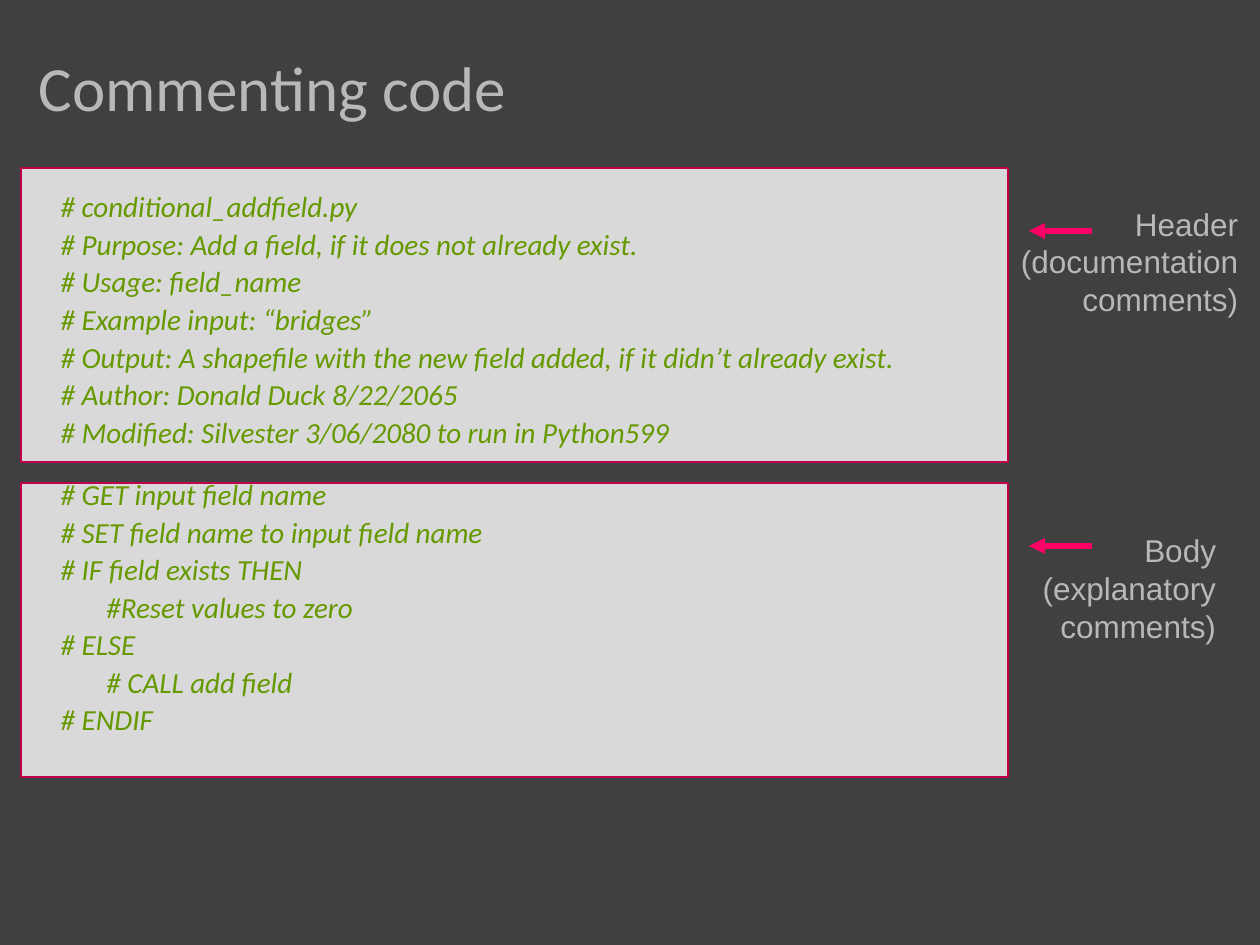
"""Build a slide that shows header and body comments in code."""
from dataclasses import dataclass

from lxml import etree
from pptx import Presentation
from pptx.dml.color import RGBColor
from pptx.enum.shapes import MSO_CONNECTOR, MSO_SHAPE
from pptx.enum.text import MSO_ANCHOR, MSO_AUTO_SIZE, PP_ALIGN
from pptx.oxml.ns import qn
from pptx.util import Inches, Pt

RECT = MSO_SHAPE.RECTANGLE
LINE = MSO_CONNECTOR.STRAIGHT
LEFT, RIGHT = PP_ALIGN.LEFT, PP_ALIGN.RIGHT
TOP, MIDDLE = MSO_ANCHOR.TOP, MSO_ANCHOR.MIDDLE
FIXED, GROW = MSO_AUTO_SIZE.NONE, MSO_AUTO_SIZE.SHAPE_TO_FIT_TEXT
WIDE, HIGH = Inches(10), Inches(7.5)
COLS, ROWS = 60, 45


@dataclass(frozen=True)
class Theme:
    """Colours, fonts and type sizes."""
    back: str = "404040"
    panel: str = "D9D9D9"
    edge: str = "BF004C"
    arrow: str = "FF0066"
    pale: str = "B8B8B8"
    code: str = "669900"
    sans: str = "Calibri"
    plain: str = "Arial"
    head: float = 36
    note: float = 18
    small: float = 16.6


@dataclass(frozen=True)
class Box:
    """A place on the grid, in columns and rows."""
    col: float
    row: float
    wide: float
    high: float


@dataclass(frozen=True)
class Part:
    """A panel with its arrow row, its note and its code."""
    row: float
    mark: float
    place: Box
    note: tuple[str, ...]
    code: tuple[str, ...]


THEME = Theme()
TITLE = Box(1.25, 0, 29.25, 8.7)
CODE = Box(2.3, 9.15, 51.7, 28.55)
GAP, BREAK = Pt(7.5), Pt(21.7)
PARTS = (
    Part(8, 11, Box(47.9, 9.45, 11.65, 6),
         ("Header", "(documentation", "comments)"),
         ("# conditional_addfield.py",
          "# Purpose: Add a field, if it does not already exist.",
          "# Usage: field_name",
          "# Example input: “bridges”",
          "# Output: A shapefile with the new field added, if it didn’t already exist.",
          "# Author: Donald Duck 8/22/2065",
          "# Modified: Silvester 3/06/2080 to run in Python599")),
    Part(23, 26, Box(49, 25, 9.5, 6),
         ("Body", "(explanatory", "comments)"),
         ("# GET input field name",
          "# SET field name to input field name",
          "# IF field exists THEN",
          "       #Reset values to zero",
          "# ELSE",
          "       # CALL add field",
          "# ENDIF")),
)


def across(col: float) -> int:
    """Turn columns into a length."""
    return round(WIDE * col / COLS)


def down(row: float) -> int:
    """Turn rows into a length."""
    return round(HIGH * row / ROWS)


def span(box: Box) -> tuple[int, int, int, int]:
    """Give left, top, width and height of a box."""
    return across(box.col), down(box.row), across(box.wide), down(box.high)


def apply(item, values: dict) -> None:
    """Set each attribute of an item."""
    for name, value in values.items():
        setattr(item, name, value)


def write(frame, lines, tint: str, face: dict, para: dict, body: dict) -> None:
    """Fill a text frame with one paragraph per line."""
    apply(frame, body)
    for num, text in enumerate(lines):
        item = frame.add_paragraph() if num else frame.paragraphs[0]
        item.text = text
        apply(item, para)
        apply(item.font, face)
        item.font.color.rgb = RGBColor.from_string(tint)


def panel(slide, row: float) -> None:
    """Draw a framed panel."""
    shape = slide.shapes.add_shape(RECT, *span(Box(1, row, 47, 14)))
    shape.shadow.inherit = False
    shape.fill.solid()
    shape.fill.fore_color.rgb = RGBColor.from_string(THEME.panel)
    shape.line.color.rgb = RGBColor.from_string(THEME.edge)
    shape.line.width = Pt(0.75)


def arrow(slide, row: float) -> None:
    """Draw an arrow that points left to a panel."""
    line = slide.shapes.add_connector(
        LINE, across(52), down(row), across(49), down(row))
    line.line.color.rgb = RGBColor.from_string(THEME.arrow)
    line.line.width = Pt(3)
    etree.SubElement(line.line._get_or_add_ln(), qn("a:tailEnd"), type="triangle")
    etree.SubElement(line._element.spPr, qn("a:effectLst"))


def title(slide) -> None:
    """Move and format the title."""
    shape = slide.shapes.title
    apply(shape, dict(zip(("left", "top", "width", "height"), span(TITLE))))
    write(shape.text_frame, ("Commenting code",), THEME.pale,
          {"name": THEME.sans, "size": Pt(THEME.head)},
          {"alignment": LEFT, "line_spacing": 0.9},
          {"vertical_anchor": MIDDLE, "auto_size": FIXED, "word_wrap": True})


def code(slide) -> None:
    """Write the code of all parts, with a break between parts."""
    frame = slide.shapes.add_textbox(*span(CODE)).text_frame
    write(frame, [text for part in PARTS for text in part.code], THEME.code,
          {"name": THEME.sans, "size": Pt(THEME.small), "italic": True},
          {"alignment": LEFT, "line_spacing": 0.7, "space_before": GAP},
          {"vertical_anchor": TOP, "word_wrap": True})
    frame.paragraphs[0].space_before = Pt(0)
    frame.paragraphs[len(PARTS[0].code)].space_before = BREAK


def note(slide, part: Part) -> None:
    """Write the note beside a panel."""
    frame = slide.shapes.add_textbox(*span(part.place)).text_frame
    write(frame, part.note, THEME.pale,
          {"name": THEME.plain, "size": Pt(THEME.note)},
          {"alignment": RIGHT},
          {"vertical_anchor": TOP, "auto_size": GROW, "word_wrap": False})


def main() -> None:
    """Build and save the slide."""
    deck = Presentation()
    apply(deck, {"slide_width": WIDE, "slide_height": HIGH})
    slide = deck.slides.add_slide(deck.slide_layouts.get_by_name("Title Only"))
    slide.background.fill.solid()
    slide.background.fill.fore_color.rgb = RGBColor.from_string(THEME.back)
    for part in PARTS:
        panel(slide, part.row)
    title(slide)
    code(slide)
    for part in PARTS:
        note(slide, part)
        arrow(slide, part.mark)
    deck.save("out.pptx")


if __name__ == "__main__":
    main()
